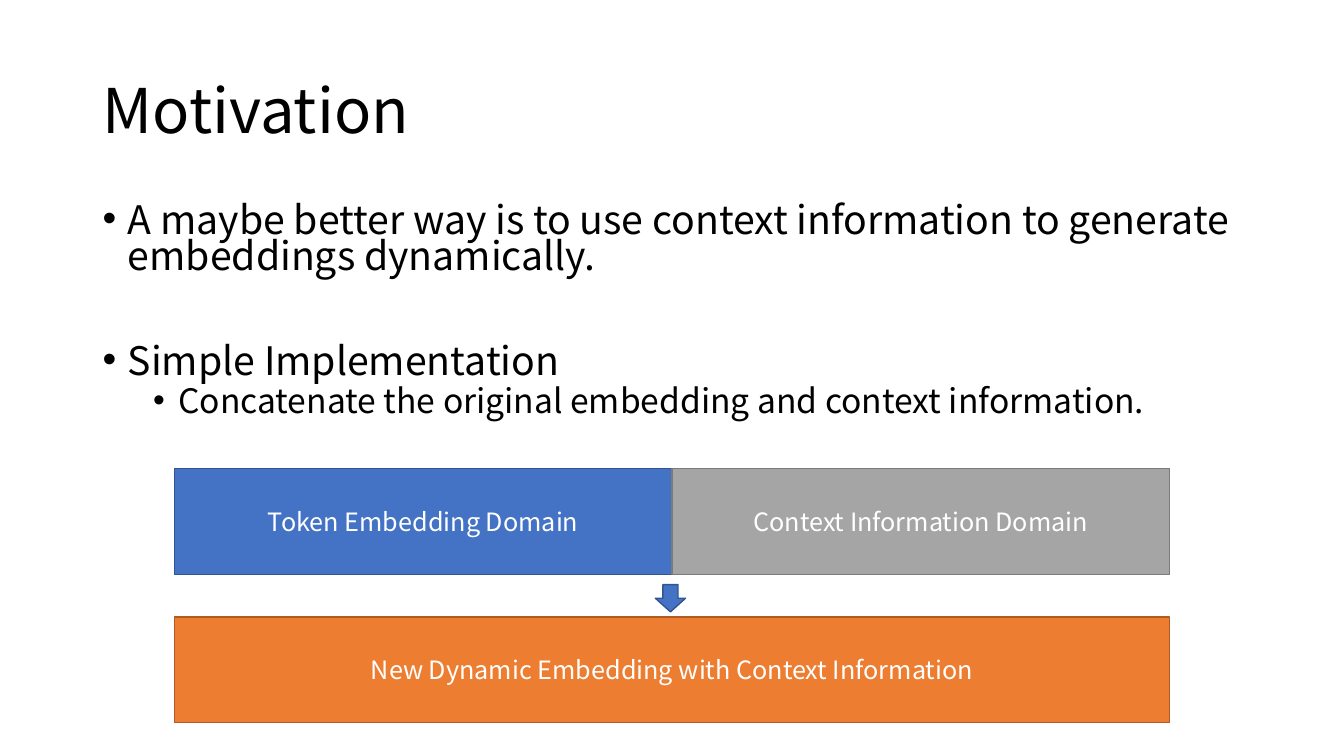
"""Build the Motivation slide: bullets above a diagram of concatenated embeddings."""
from dataclasses import dataclass

from lxml import etree
from pptx import Presentation
from pptx.dml.color import RGBColor
from pptx.enum.shapes import MSO_SHAPE
from pptx.enum.text import MSO_ANCHOR, MSO_AUTO_SIZE, PP_ALIGN
from pptx.oxml.ns import qn
from pptx.util import Inches, Pt

RECTANGLE, DOWN_ARROW = MSO_SHAPE.RECTANGLE, MSO_SHAPE.DOWN_ARROW
LEFT, CENTER = PP_ALIGN.LEFT, PP_ALIGN.CENTER
TOP, MIDDLE = MSO_ANCHOR.TOP, MSO_ANCHOR.MIDDLE
NO_AUTOFIT = MSO_AUTO_SIZE.NONE
TITLE_ONLY = 5


@dataclass(frozen=True)
class Theme:
    font: str = "Noto Sans CJK SC"
    text: str = "000000"
    label: str = "FFFFFF"
    blue: tuple = ("4472C4", "325491")
    gray: tuple = ("A5A5A5", "7A7A7A")
    orange: tuple = ("ED7D31", "AF5C24")
    title_size: int = 44
    bullet_size: int = 28
    detail_size: int = 24
    label_size: int = 18
    outline: int = 1


theme = Theme()


def add_text(paragraph, text, size, color, alignment):
    paragraph.alignment = alignment
    run = paragraph.add_run()
    run.text = text
    run.font.name = theme.font
    run.font.size = Pt(size)
    run.font.color.rgb = RGBColor.from_string(color)


def add_block(slide, kind, box, colors):
    shape = slide.shapes.add_shape(kind, *map(Inches, box))
    shape.shadow.inherit = False
    shape.fill.solid()
    shape.fill.fore_color.rgb = RGBColor.from_string(colors[0])
    shape.line.color.rgb = RGBColor.from_string(colors[1])
    shape.line.width = Pt(theme.outline)
    return shape


presentation = Presentation()
presentation.slide_width = Inches(13.33)
presentation.slide_height = Inches(7.5)
slide = presentation.slides.add_slide(presentation.slide_layouts[TITLE_ONLY])

title = slide.shapes.title
title.left, title.top, title.width, title.height = map(Inches, (0.92, 0.4, 11.5, 1.45))
title.text_frame.auto_size = NO_AUTOFIT
title.text_frame.vertical_anchor = MIDDLE
title_paragraph = title.text_frame.paragraphs[0]
title_paragraph.line_spacing = 0.9
add_text(title_paragraph, "Motivation", theme.title_size, theme.text, LEFT)

body = slide.shapes.add_textbox(*map(Inches, (0.92, 2, 11.5, 4.76))).text_frame
body.word_wrap = True
body.auto_size = NO_AUTOFIT
body.vertical_anchor = TOP
bullets = [
    ("A maybe better way is to use context information to generate embeddings dynamically.",
     0, theme.bullet_size, 10),
    ("Simple Implementation", 0, theme.bullet_size, 50),
    ("Concatenate the original embedding and context information.", 1, theme.detail_size, 5),
]
for index, (text, level, size, space_before) in enumerate(bullets):
    paragraph = body.add_paragraph() if index else body.paragraphs[0]
    paragraph.level = level
    paragraph.line_spacing = 0.75
    paragraph.space_before = Pt(space_before)
    add_text(paragraph, text, size, theme.text, LEFT)
    properties = paragraph._p.get_or_add_pPr()
    properties.set("marL", str(Inches(0.25 + 0.5 * level)))
    properties.set("indent", str(Inches(-0.25)))
    etree.SubElement(properties, qn("a:buFont")).set("typeface", "Arial")
    etree.SubElement(properties, qn("a:buChar")).set("char", "•")

diagram_left, diagram_width, block_height = 1.73, 9.87, 1.05
half_width = diagram_width / 2
input_top, output_top = 4.65, 6.12
blocks = [
    ("Token Embedding Domain", diagram_left, input_top, half_width, theme.blue),
    ("Context Information Domain", diagram_left + half_width, input_top, half_width, theme.gray),
    ("New Dynamic Embedding with Context Information",
     diagram_left, output_top, diagram_width, theme.orange),
]
for text, left, top, width, colors in blocks:
    block = add_block(slide, RECTANGLE, (left, top, width, block_height), colors)
    block.text_frame.word_wrap = True
    block.text_frame.vertical_anchor = MIDDLE
    add_text(block.text_frame.paragraphs[0], text, theme.label_size, theme.label, CENTER)

add_block(slide, DOWN_ARROW, (6.5, 5.8, 0.3, 0.27), theme.blue)

presentation.save("out.pptx")
